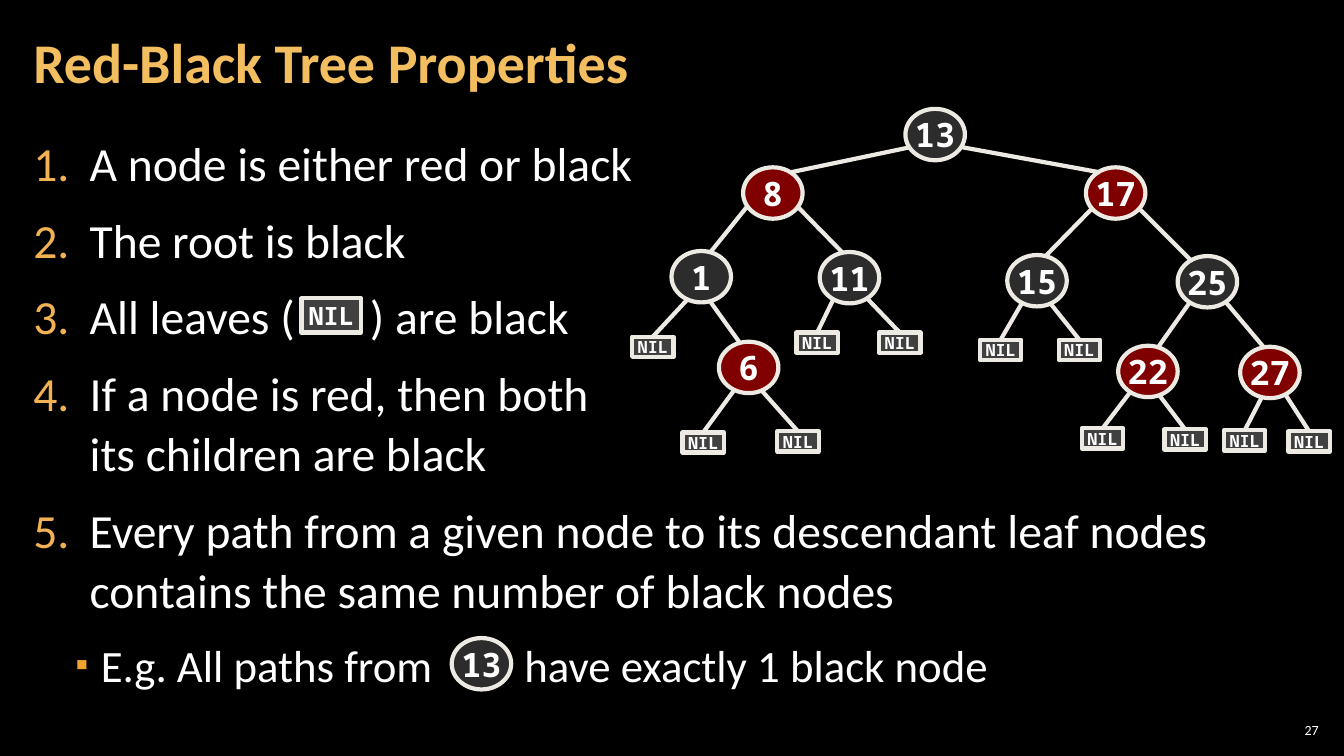
from pptx import Presentation
from pptx.dml.color import RGBColor
from pptx.enum.shapes import MSO_CONNECTOR, MSO_SHAPE
from pptx.enum.text import MSO_ANCHOR, MSO_AUTO_SIZE, PP_ALIGN
from pptx.oxml.ns import qn
from pptx.util import Inches, Pt
from lxml import etree

OVAL, RECT = MSO_SHAPE.OVAL, MSO_SHAPE.RECTANGLE
STRAIGHT = MSO_CONNECTOR.STRAIGHT
MIDDLE, TOP = MSO_ANCHOR.MIDDLE, MSO_ANCHOR.TOP
LEFT, CENTER, RIGHT = PP_ALIGN.LEFT, PP_ALIGN.CENTER, PP_ALIGN.RIGHT
NO_FIT = MSO_AUTO_SIZE.NONE

COLORS = {
    "background": "000000", "text": "FFFFFF", "title": "F3BE60",
    "number": "F2B254", "bullet": "F0A22E", "outline": "ECEAE3",
    "black": "595959", "red": "FF0000", "nil": "808080",
}
NODE_SIZE = (0.59, 0.51)
LEAF_SIZE = (0.41, 0.2)


def style_font(para, size, color="text", name="Calibri", bold=False):
    para.font.size = Pt(size)
    para.font.name = name
    para.font.bold = bold
    para.font.color.rgb = RGBColor.from_string(COLORS[color])


def add_label(shapes, kind, label, x, y, size, color, points):
    """Half-transparent outlined shape with a centred label."""
    shape = shapes.add_shape(kind, Inches(x), Inches(y), Inches(size[0]), Inches(size[1]))
    shape.shadow.inherit = False
    shape.fill.solid()
    shape.fill.fore_color.rgb = RGBColor.from_string(COLORS[color])
    fill_color = shape._element.spPr.find(qn("a:solidFill"))[0]
    etree.SubElement(fill_color, qn("a:alpha"), val="50000")
    shape.line.color.rgb = RGBColor.from_string(COLORS["outline"])
    shape.line.width = Pt(3)
    frame = shape.text_frame
    frame.word_wrap = False
    frame.vertical_anchor = MIDDLE
    para = frame.paragraphs[0]
    para.text = label
    para.alignment = CENTER
    style_font(para, points, name="Noto Sans Mono", bold=True)
    return shape


deck = Presentation()
deck.slide_width, deck.slide_height = Inches(13.33), Inches(7.5)
page = deck.slides.add_slide(deck.slide_layouts[1])
page.background.fill.solid()
page.background.fill.fore_color.rgb = RGBColor.from_string(COLORS["background"])

# Title and body placeholders, page number box
title, body = page.placeholders[0], page.placeholders[1]
number = page.shapes.add_textbox(0, 0, 0, 0)
for box, place, inset, anchor in (
    (title, (0.21, 0.04, 10.47, 1.21), 0.12, MIDDLE),
    (body, (0.21, 1.26, 12.91, 6.09), 0.12, TOP),
    (number, (12.65, 7.14, 0.47, 0.21), 0.04, MIDDLE),
):
    box.left, box.top, box.width, box.height = map(Inches, place)
    frame = box.text_frame
    frame.word_wrap = True
    frame.auto_size = NO_FIT
    frame.vertical_anchor = anchor
    frame.margin_left = frame.margin_right = Inches(inset)
    frame.margin_top = frame.margin_bottom = Inches(0.04)

para = title.text_frame.paragraphs[0]
para.text = "Red-Black Tree Properties"
para.alignment = LEFT
para.line_spacing = 0.9
style_font(para, 40, "title", bold=True)

para = number.text_frame.paragraphs[0]
para.text = "27"
para.alignment = RIGHT
style_font(para, 10)

# Properties: level, text before and after an inline shape, width of its gap in points
properties = [
    (0, "A node is either red or black", "", 0),
    (0, "The root is black", "", 0),
    (0, "All leaves (", ") are black", 46),
    (0, "If a node is red, then both\vits children are black", "", 0),
    (0, "Every path from a given node to its descendant leaf nodes "
        "contains the same number of black nodes", "", 0),
    (1, "E.g. All paths from", "have exactly 1 black node", 58),
]
frame = body.text_frame
for index, (level, before, after, gap) in enumerate(properties):
    para = frame.add_paragraph() if index else frame.paragraphs[0]
    para.text = before
    if gap:
        # One widened space leaves room for the inline shape
        space = para.add_run()
        space.text = " "
        space._r.get_or_add_rPr().set("spc", str(gap * 100))
        para.add_run().text = after
    para.level = level
    para.alignment = LEFT
    para.line_spacing = 1.05
    para.space_before = Pt(6 if index else 0)
    para.space_after = Pt(6)
    margin, indent = ((0.56, -0.56), (0.67, -0.25))[level]
    props = para._p.get_or_add_pPr()
    props.set("marL", str(Inches(margin)))
    props.set("indent", str(Inches(indent)))
    bullet_color = etree.SubElement(props, qn("a:buClr"))
    etree.SubElement(bullet_color, qn("a:srgbClr"), val=COLORS[("number", "bullet")[level]])
    if level:
        etree.SubElement(props, qn("a:buSzPct"), val="80000")
        etree.SubElement(props, qn("a:buFont"), typeface="Calibri")
        etree.SubElement(props, qn("a:buChar"), char="▪")
    else:
        etree.SubElement(props, qn("a:buFont"), typeface="+mj-lt")
        etree.SubElement(props, qn("a:buAutoNum"), type="arabicPeriod")
    style_font(para, (34, 32)[level])

# Tree data: edges between nodes, nodes, leaves with the start of their edge
edges = [
    (9.03, 1.46, 7.84, 1.71), (9.54, 1.46, 10.91, 1.71),
    (7.41, 2.05, 7.04, 2.51), (7.91, 2.05, 8.36, 2.51),
    (10.83, 2.07, 10.38, 2.53), (11.3, 2.07, 11.82, 2.59),
    (7.05, 3, 7.33, 3.39), (11.8, 3, 11.49, 3.44), (12.16, 3, 12.53, 3.44),
]
nodes = [
    ("13", 8.98, 1.08, "black"),
    ("8", 7.37, 1.66, "red"), ("17", 10.77, 1.66, "red"),
    ("1", 6.66, 2.49, "black"), ("11", 8.13, 2.5, "black"),
    ("15", 9.99, 2.53, "black"), ("25", 11.68, 2.54, "black"),
    ("6", 7.13, 3.39, "red"), ("22", 11.09, 3.43, "red"), ("27", 12.3, 3.44, "red"),
]
leaves = [
    (6.27, 3.34, 6.81, 2.98), (6.77, 4.29, 7.29, 3.86), (7.71, 4.28, 7.55, 3.87),
    (7.9, 3.3, 8.27, 2.96), (8.72, 3.3, 8.59, 2.95),
    (9.72, 3.37, 10.14, 3), (10.5, 3.37, 10.41, 3),
    (10.73, 4.25, 11.21, 3.89), (11.55, 4.26, 11.49, 3.91),
    (12.14, 4.27, 12.51, 3.95), (12.78, 4.28, 12.74, 3.9),
]

# Draw the tree as one group
tree = page.shapes.add_group_shape().shapes
lines = [tree.add_connector(STRAIGHT, *map(Inches, edge)) for edge in edges]
for label, x, y, color in nodes:
    add_label(tree, OVAL, label, x, y, NODE_SIZE, color, 24)
for x, y, start_x, start_y in leaves:
    leaf = add_label(tree, RECT, "NIL", x, y, LEAF_SIZE, "nil", 12)
    line = tree.add_connector(STRAIGHT, Inches(start_x), Inches(start_y), Inches(x), Inches(y))
    line.end_connect(leaf, 0)
    lines.append(line)
for line in lines:
    line.line.color.rgb = RGBColor.from_string(COLORS["outline"])
    line.line.width = Pt(3)
    etree.SubElement(line._element.spPr, qn("a:effectLst"))

# Shapes inside the text
add_label(page.shapes, OVAL, "13", 4.48, 6.33, NODE_SIZE, "black", 24)
add_label(page.shapes, RECT, "NIL", 2.99, 2.96, (0.59, 0.34), "nil", 18)

deck.save("out.pptx")
